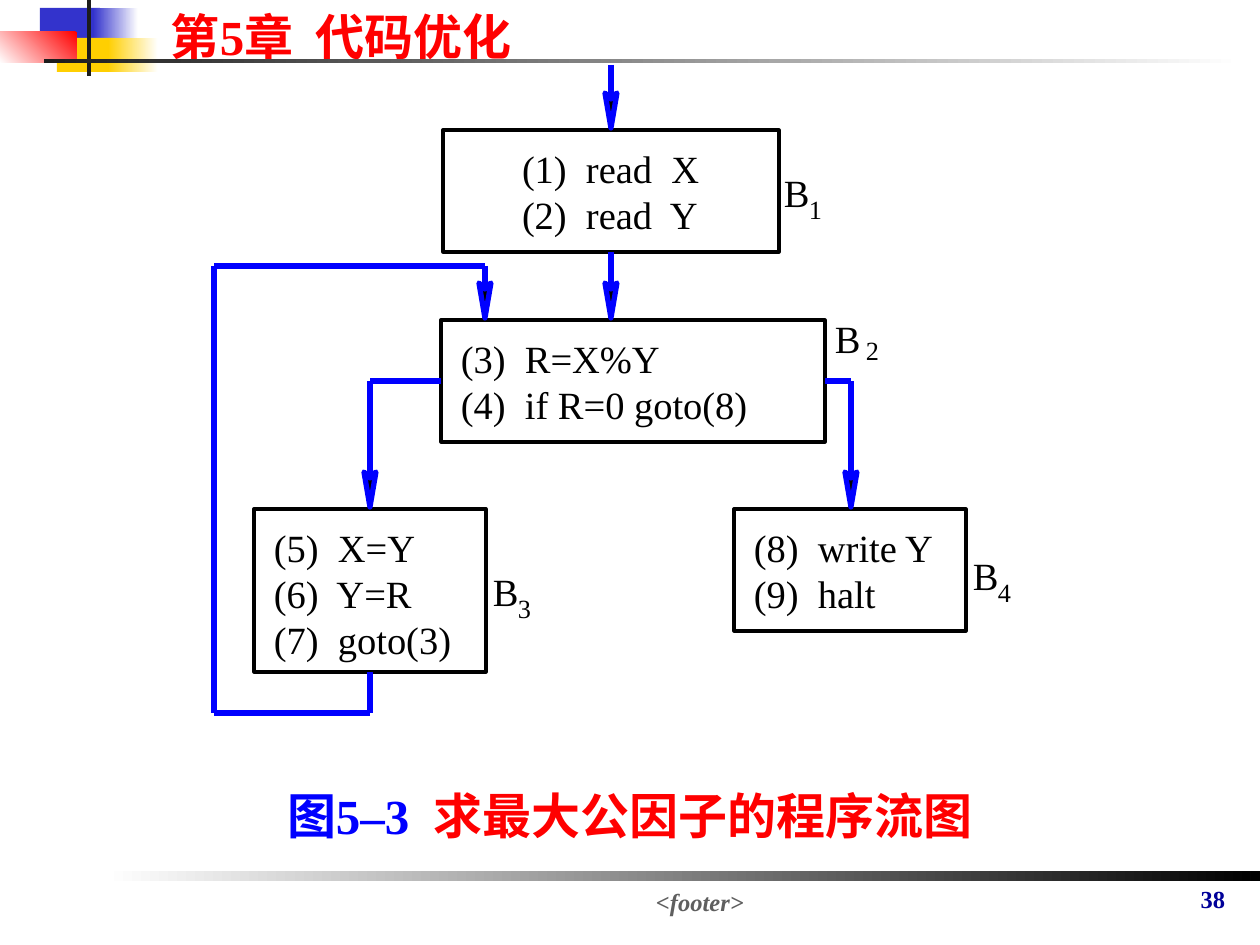
from itertools import pairwise

from lxml.etree import SubElement
from pptx import Presentation
from pptx.dml.color import RGBColor
from pptx.enum.shapes import MSO_CONNECTOR, MSO_SHAPE
from pptx.enum.text import PP_ALIGN
from pptx.oxml.ns import qn
from pptx.util import Inches, Pt

PX = 914400 / 126
TOP, LEFT, BOTTOM, RIGHT = range(4)
BLACK = RGBColor(0x00, 0x00, 0x00)
WHITE = RGBColor(0xFF, 0xFF, 0xFF)
RED = RGBColor(0xFF, 0x00, 0x00)
BLUE = RGBColor(0x00, 0x00, 0xFF)
INDIGO = RGBColor(0x33, 0x33, 0xCC)
YELLOW = RGBColor(0xFF, 0xCF, 0x01)
CHARCOAL = RGBColor(0x1C, 0x1C, 0x1C)
NAVY = RGBColor(0x00, 0x00, 0x99)
GRAY = RGBColor(0x5F, 0x5F, 0x5F)


class FlowSlide:
    """Draws flow chart elements on one slide, with lengths in px."""

    font = "Times New Roman"
    code_size = 22
    index_size = 15
    flow_width = Pt(3)
    block_line = Pt(1.87)
    line_pitch = 46

    def __init__(self, slide):
        self.shapes = slide.shapes

    def text(self, box, runs, size, align=PP_ALIGN.LEFT, inset=(0, 0), bold=False, italic=False):
        frame = self.shapes.add_textbox(*(round(v * PX) for v in box)).text_frame
        frame.word_wrap = True
        frame.margin_left = frame.margin_right = round(inset[0] * PX)
        frame.margin_top = frame.margin_bottom = round(inset[1] * PX)
        paragraph = frame.paragraphs[0]
        paragraph.alignment = align
        for words, color in runs:
            run = paragraph.add_run()
            run.text = words
            run.font.name = self.font
            run.font.size = Pt(size)
            run.font.bold = bold
            run.font.italic = italic
            run.font.color.rgb = color

    def heading(self, box, runs, size, align=PP_ALIGN.CENTER, italic=False):
        self.text(box, runs, size, align, (13, 6), True, italic)

    def bar(self, box, color, fade_to=None, angle=180):
        bar = self.shapes.add_shape(MSO_SHAPE.RECTANGLE, *(round(v * PX) for v in box))
        bar.shadow.inherit = False
        bar.line.fill.background()
        if fade_to is None:
            bar.fill.solid()
            bar.fill.fore_color.rgb = color
        else:
            bar.fill.gradient()
            bar.fill.gradient_angle = angle
            for stop, shade in zip(bar.fill.gradient_stops, (color, fade_to)):
                stop.color.rgb = shade
        return bar

    def block(self, box, statements, indent=20):
        block = self.bar(box, WHITE)
        block.line.color.rgb = BLACK
        block.line.width = self.block_line
        x, y, width, _ = box
        for row, statement in enumerate(statements):
            line_box = (x + indent, y + 15 + row * self.line_pitch, width - indent, 46)
            self.text(line_box, [(statement, BLACK)], self.code_size)
        return block

    def label(self, x, y, index, dx=25, dy=24):
        self.text((x, y, 28, 46), [("B", BLACK)], self.code_size)
        self.text((x + dx, y + dy, 16, 32), [(index, BLACK)], self.index_size)

    def flow(self, points, source=None):
        *corners, (x, y) = points
        for number, (start, end) in enumerate(pairwise([*corners, (x, y - 7)])):
            segment = self.shapes.add_connector(
                MSO_CONNECTOR.STRAIGHT, *(round(v * PX) for v in (*start, *end)))
            segment.line.color.rgb = BLUE
            segment.line.width = self.flow_width
            SubElement(segment._element.spPr, qn("a:effectLst"))
            if number == 0 and source:
                segment.begin_connect(*source)
        self.arrowhead(x, y - 2)

    def arrowhead(self, x, y):
        builder = self.shapes.build_freeform(x + 6, y - 35, scale=PX)
        builder.add_line_segments([(x, y - 29), (x - 6, y - 35), (x, y)], close=True)
        head = builder.convert_to_shape()
        head.shadow.inherit = False
        head.fill.solid()
        head.fill.fore_color.rgb = BLACK
        head.line.color.rgb = BLUE
        head.line.width = self.flow_width


def main():
    deck = Presentation()
    deck.slide_width, deck.slide_height = Inches(10), Inches(7.5)
    page = FlowSlide(deck.slides.add_slide(deck.slide_layouts[6]))

    page.heading((158, 0, 400, 72), [("第5章  代码优化", RED)], 28, PP_ALIGN.LEFT)
    page.bar((105, 871, 1155, 10), BLACK, WHITE)
    page.heading((1176, 878, 74, 43), [("38", NAVY)], 14)
    page.heading((233, 881, 934, 33), [("<footer>", GRAY)], 14, italic=True)

    page.bar((40, 8, 60, 34), INDIGO)
    page.bar((93, 8, 45, 34), WHITE, INDIGO)
    page.bar((57, 38, 58, 34), YELLOW)
    page.bar((108, 38, 50, 34), WHITE, YELLOW)
    page.bar((0, 32, 77, 31), RED, WHITE, 225)
    page.bar((87, 0, 4, 76), CHARCOAL)
    page.bar((44, 59, 1198, 4), WHITE, CHARCOAL)

    caption = [("图5–3  ", BLUE), ("求最大公因子的程序流图", RED)]
    page.heading((199, 779, 861, 72), caption, 28)

    read_block = page.block((443, 130, 336, 122), ["(1)  read  X", "(2)  read  Y"], 79)
    test_block = page.block((441, 320, 384, 122), ["(3)  R=X%Y", "(4)  if R=0 goto(8)"])
    loop_block = page.block((254, 509, 232, 163), ["(5)  X=Y", "(6)  Y=R", "(7)  goto(3)"])
    page.block((734, 509, 232, 122), ["(8)  write Y", "(9)  halt"])

    page.flow([(611, 65), (611, 130)])
    page.flow([(611, 252), (611, 320)], (read_block, BOTTOM))
    page.flow([(441, 381), (370, 381), (370, 509)], (test_block, LEFT))
    page.flow([(825, 381), (851, 381), (851, 509)], (test_block, RIGHT))
    loop_back = [(370, 672), (370, 713), (214, 713), (214, 266), (485, 266), (485, 320)]
    page.flow(loop_back, (loop_block, BOTTOM))

    page.label(784, 169, "1")
    page.label(835, 315, "2", 31, 19)
    page.label(493, 568, "3")
    page.label(973, 552, "4")

    deck.save("out.pptx")


if __name__ == "__main__":
    main()
